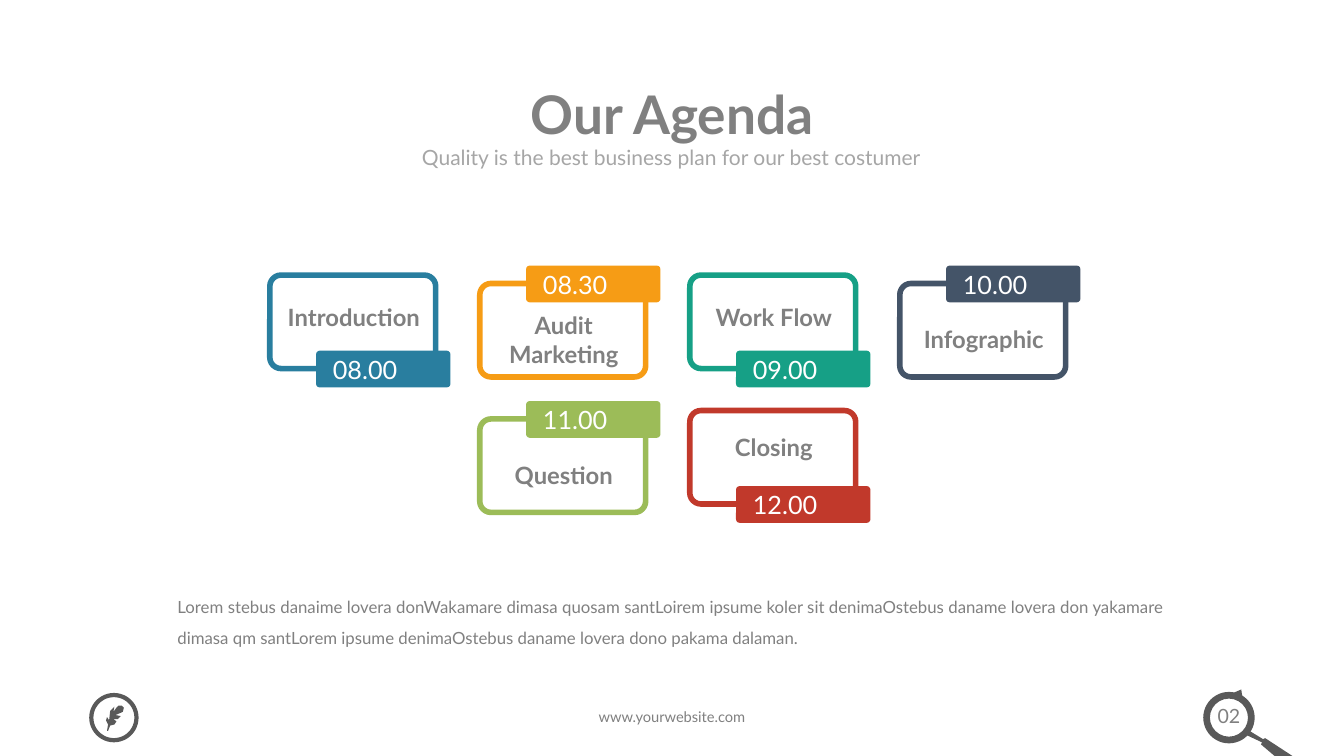
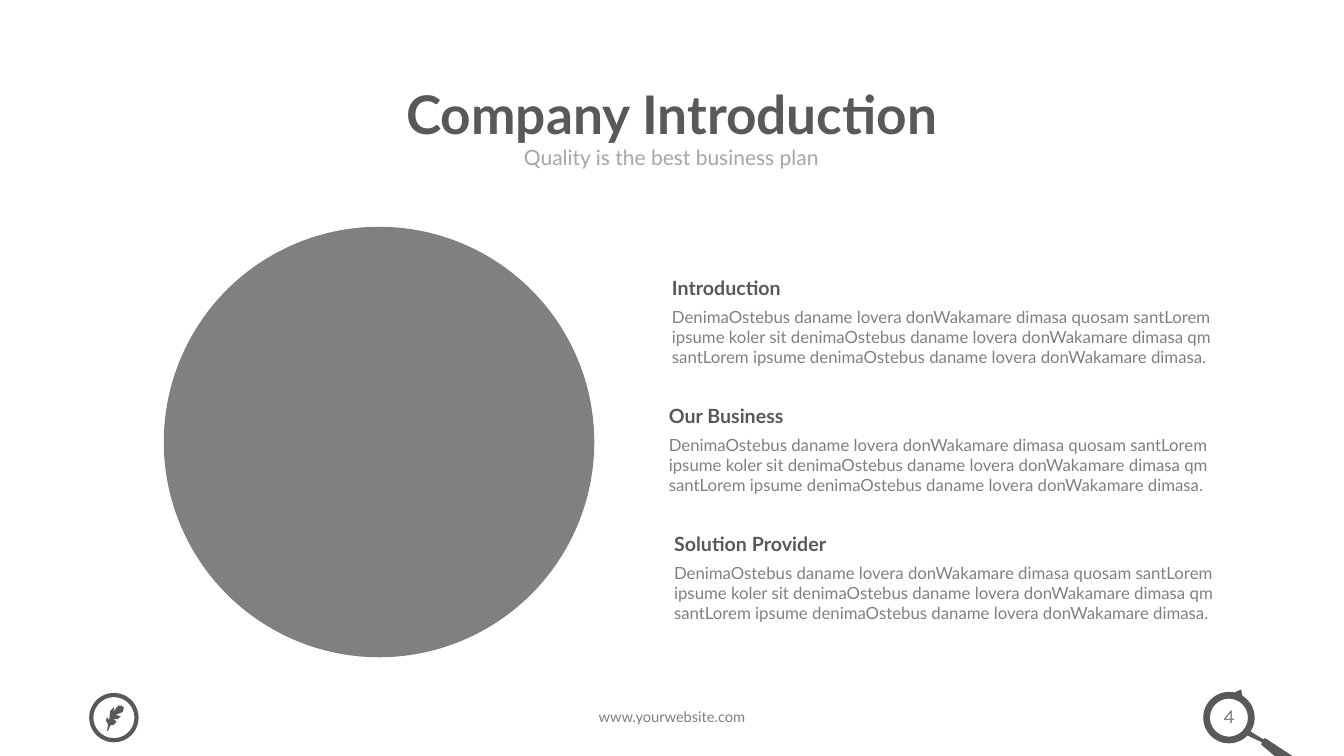
import pptx
import pptx.dml.color
import pptx.enum.shapes
import pptx.enum.text
import pptx.util

PX = 9525  # EMU in one px, 96 px to the inch
FONT = "Lato"
DARK, GREY, PALE, WHITE = "595959", "808080", "A6A6A6", "FFFFFF"
SHAPE = pptx.enum.shapes.MSO_SHAPE
ALIGN = pptx.enum.text.PP_ALIGN
ANCHOR = pptx.enum.text.MSO_ANCHOR

SITE = "www.yourwebsite.com"
FEATHER = [(103, 696), (105, 691), (109, 690), (111, 687), (108, 685), (112, 685),
           (115, 682), (110, 681), (117, 678), (118, 674), (116, 672), (113, 672),
           (111, 674), (108, 678), (109, 673), (105, 677), (104, 686), (102, 683),
           (101, 686), (103, 690), (102, 696)]
HANDLE = [(1187, 700), (1190, 696), (1203, 704), (1205, 703), (1231, 720),
          (1214, 720), (1201, 709), (1202, 707)]

# label, time, colour, column, row, tab on top, label offset
CARDS = [
    ("Introduction", "08.00", "297E9F", 0, 0, False, 21),
    ("Audit\nMarketing", "08.30", "F69C15", 1, 0, True, 21),
    ("Work Flow", "09.00", "16A086", 2, 0, False, 21),
    ("Infographic", "10.00", "445468", 3, 0, True, 34),
    ("Question", "11.00", "9CBC58", 1, 1, True, 35),
    ("Closing", "12.00", "C1392B", 2, 1, False, 16),
]
AGENDA_NOTE = (
    "Lorem stebus danaime lovera donWakamare dimasa quosam santLoirem ipsume koler "
    "sit denimaOstebus daname lovera don yakamare dimasa qm santLorem ipsume "
    "denimaOstebus daname lovera dono pakama dalaman.")
TOPICS = [("Introduction", 640), ("Our Business", 637), ("Solution Provider", 642)]
TOPIC_TEXT = (
    "DenimaOstebus daname lovera donWakamare dimasa quosam santLorem ipsume koler "
    "sit denimaOstebus daname lovera donWakamare dimasa qm santLorem ipsume "
    "denimaOstebus daname lovera donWakamare dimasa.")


def rgb(color):
    return pptx.dml.color.RGBColor.from_string(color)


def px(*lengths):
    return [pptx.util.Emu(n * PX) for n in lengths]


def write(tf, text, size, color, bold=False, align=ALIGN.LEFT, spacing=None,
          font=FONT, inset=(10, 5), anchor=ANCHOR.TOP):
    tf.text = text
    tf.word_wrap = True
    tf.auto_size = pptx.enum.text.MSO_AUTO_SIZE.NONE
    tf.vertical_anchor = anchor
    tf.margin_left, tf.margin_top = tf.margin_right, tf.margin_bottom = px(*inset)
    for p in tf.paragraphs:
        p.alignment = align
        if spacing:
            p.line_spacing = spacing
        for r in p.runs:
            r.font.name = font
            r.font.size = pptx.util.Pt(size)
            r.font.bold = bold
            r.font.color.rgb = rgb(color)


def add_text(s, box, text, size, color, **style):
    write(s.shapes.add_textbox(*px(*box)).text_frame, text, size, color, **style)


def paint(sp, fill=None, line=None, width=0):
    sp.shadow.inherit = False
    if fill:
        sp.fill.solid()
        sp.fill.fore_color.rgb = rgb(fill)
    else:
        sp.fill.background()
    if line:
        sp.line.color.rgb = rgb(line)
        sp.line.width = pptx.util.Pt(width)
    else:
        sp.line.fill.background()


def add_shape(s, kind, box, adjust=(), **look):
    sp = s.shapes.add_shape(kind, *px(*box))
    for i, value in enumerate(adjust):
        sp.adjustments[i] = value
    paint(sp, **look)
    return sp


def add_polygon(s, points, fill):
    outline = s.shapes.build_freeform(*points[0], scale=PX)
    outline.add_line_segments(points[1:])
    paint(outline.convert_to_shape(), fill=fill)


def add_footer(s, number, font):
    add_text(s, (408, 669, 464, 28), SITE, 10.5, GREY, align=ALIGN.CENTER)
    add_shape(s, SHAPE.OVAL, (87, 662, 43, 43), line=DARK, width=3)
    add_polygon(s, FEATHER, DARK)
    add_shape(s, SHAPE.DONUT, (1146, 659, 49, 49), [0.13], fill=DARK)
    add_polygon(s, HANDLE, DARK)
    tip = add_shape(s, SHAPE.RIGHT_ARROW, (1174, 656, 11, 11), [0.32, 0.64], fill=DARK)
    tip.rotation = 298.7
    add_text(s, (1141, 665, 59, 33), number, 14, GREY, align=ALIGN.CENTER, font=font)


def add_slide(prs, title, subtitle, number, color, number_font=FONT):
    """Add a slide with the shared heading and footer."""
    s = prs.slides.add_slide(prs.slide_layouts.get_by_name("Title Only"))
    sp = s.shapes.title
    sp.left, sp.top, sp.width, sp.height = px(160, 72, 960, 79)
    write(sp.text_frame, title, 38, color, bold=True, align=ALIGN.CENTER,
          spacing=0.9, anchor=ANCHOR.MIDDLE)
    add_text(s, (256, 131, 767, 37), subtitle, 15, PALE, align=ALIGN.CENTER,
             inset=(12, 7))
    add_footer(s, number, number_font)
    return s


def add_card(s, label, time, color, column, row, tab_on_top, label_dy):
    x = 257 + 200 * column
    y = 262 + 129 * row + (8 if tab_on_top else 0)
    add_shape(s, SHAPE.ROUNDED_RECTANGLE, (x, y, 158, 89), [0.12], line=color, width=4)
    tab_y = y - 17 if tab_on_top else y + 72
    tab = add_shape(s, SHAPE.ROUNDED_RECTANGLE, (x + 44, tab_y, 128, 35), [0.1],
                    fill=color)
    write(tab.text_frame, time, 18, WHITE, inset=(15, 0), anchor=ANCHOR.MIDDLE)
    height = 37 + 27 * label.count("\n")
    add_text(s, (x, y + label_dy, 160, height), label, 17, GREY, bold=True,
             align=ALIGN.CENTER)


def add_topic(s, index, heading, x):
    y = 263 + 122 * index
    width = 1164 - x
    add_text(s, (x, y, width, 23), heading, 14, DARK, bold=True, inset=(0, 0))
    add_text(s, (x, y + 29, width, 59), TOPIC_TEXT, 12, GREY, inset=(0, 0))


def main():
    prs = pptx.Presentation()
    prs.slide_width, prs.slide_height = px(1280, 720)

    s = add_slide(prs, "Our Agenda",
                  "Quality is the best business plan for our best costumer", "02", GREY)
    for card in CARDS:
        add_card(s, *card)
    add_text(s, (159, 554, 960, 68), AGENDA_NOTE, 12, GREY, align=ALIGN.JUSTIFY,
             spacing=1.5)

    s = add_slide(prs, "Company Introduction", "Quality is the best business plan",
                  "4", DARK, number_font="Karla")
    add_shape(s, SHAPE.OVAL, (156, 216, 410, 410), fill=GREY)
    for i, (heading, x) in enumerate(TOPICS):
        add_topic(s, i, heading, x)

    prs.save("out.pptx")


if __name__ == "__main__":
    main()
